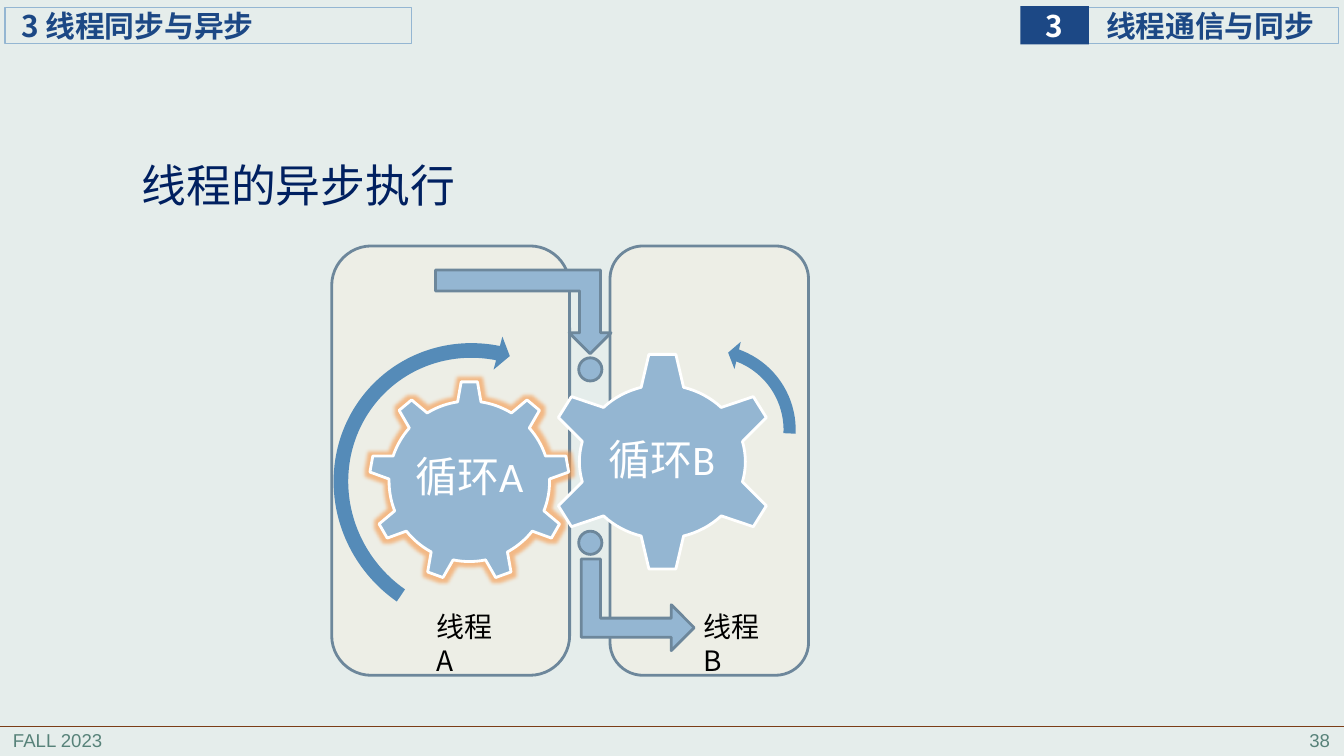
import pptx
import pptx.util
import pptx.dml.color
import pptx.enum.shapes
import pptx.enum.text
import pptx.oxml
from dataclasses import dataclass

Inches = pptx.util.Inches
Pt = pptx.util.Pt
Shape = pptx.enum.shapes.MSO_SHAPE
Align = pptx.enum.text.PP_ALIGN
Anchor = pptx.enum.text.MSO_ANCHOR
DRAWING = 'xmlns:a="http://schemas.openxmlformats.org/drawingml/2006/main"'


@dataclass(frozen=True)
class Theme:
    background: str = "E5EDEB"
    panel: str = "EDEEE6"
    outline: str = "6D879B"
    blue: str = "94B6D2"
    arrow: str = "558BB8"
    navy: str = "1C4885"
    title: str = "002060"
    footer: str = "578279"
    rule: str = "7B3D17"
    glow: str = "F79646"
    white: str = "FFFFFF"
    black: str = "000000"
    chinese: str = "Noto Sans CJK SC"
    gear_font: str = "Calibri"
    footer_font: str = "Arial"
    title_size: float = 32
    gear_size: float = 30
    header_size: float = 21.3
    label_size: float = 20
    footer_size: float = 13.3


THEME = Theme()

FOOTERS = [("FALL 2023", 0.03, Align.LEFT), ("38", 10.51, Align.RIGHT)]
HEADERS = [
    ("线程通信与同步", (10.78, 0.07, 2.5, 0.36), 0.19),
    ("3 线程同步与异步", (0.05, 0.07, 4.03, 0.36), 0.16),
]
CHAPTER = ("3", (10.12, 0.06, 0.68, 0.38))
TITLE = ("线程的异步执行", (0.85, 1.48, 4.22, 0.77))
PANELS = [(6.05, 2.44, 1.97, 4.26), (3.29, 2.44, 2.36, 4.26)]
GEARS = [
    ("循环A", Shape.GEAR_9, (3.66, 3.78, 1.99, 1.99), (4.06, 4.24, 1.19, 1.02)),
    ("循环B", Shape.GEAR_6, (5.42, 3.49, 2.3, 2.18), (5.98, 4.04, 1.17, 1.08)),
]
TURNS = [
    (Shape.CIRCULAR_ARROW, (3.19, 3.33, 3.05, 2.97), 228.6,
     (0.049, 3.126, 30.669, 153.278, 0.057)),
    (Shape.LEFT_CIRCULAR_ARROW, (6.12, 3.34, 1.85, 1.85), 115.3,
     (0.065, 4.3, 104.891, 148.378, 0.075)),
]
EXIT_ARROW = (5.87, 5.44, 0.91, 1.12)
ENTRY_ARROW = (4.32, 2.68, 1.74, 0.83)
DOT_LEFT, DOT_SIZE, DOT_TOPS = 5.74, 0.23, (3.55, 5.27)
LABELS = [("线程B", 6.88), ("线程A", 4.23)]


def color(value):
    return pptx.dml.color.RGBColor.from_string(value)


def add_shape(page, kind, place, fill=None, line=None, width=2):
    shape = page.shapes.add_shape(kind, *map(Inches, place))
    shape.shadow.inherit = False
    if fill:
        shape.fill.solid()
        shape.fill.fore_color.rgb = color(fill)
    else:
        shape.fill.background()
    if line:
        shape.line.color.rgb = color(line)
        shape.line.width = Pt(width)
    else:
        shape.line.fill.background()
    return shape


def write(box, text, size, ink, font=THEME.chinese, align=Align.LEFT, bold=False,
          anchor=Anchor.MIDDLE, insets=(0, 0, 0, 0), wrap=True, spacing=None):
    frame = box.text_frame
    frame.word_wrap = wrap
    frame.vertical_anchor = anchor
    frame.margin_left, frame.margin_top, frame.margin_right, frame.margin_bottom = map(Inches, insets)
    para = frame.paragraphs[0]
    para.alignment = align
    if spacing:
        para.line_spacing = spacing
    span = para.add_run()
    span.text = text
    span.font.size = Pt(size)
    span.font.name = font
    span.font.bold = bold
    span.font.color.rgb = color(ink)
    span.font._element.append(
        pptx.oxml.parse_xml(f'<a:ea {DRAWING} typeface="{THEME.chinese}"/>'))


def add_text(page, place, *content, **style):
    write(page.shapes.add_textbox(*map(Inches, place)), *content, **style)


def add_frame(page):
    for text, left, align in FOOTERS:
        add_text(page, (left, 7.19, 2.78, 0.31), text, THEME.footer_size, THEME.footer,
                 font=THEME.footer_font, align=align, insets=(0.1, 0.05, 0.1, 0.05))
    for text, place, inset in HEADERS:
        box = add_shape(page, Shape.RECTANGLE, place, line=THEME.blue, width=0.75)
        write(box, text, THEME.header_size, THEME.navy, bold=True, insets=(inset, 0, 0, 0))
    text, place = CHAPTER
    box = add_shape(page, Shape.RECTANGLE, place, THEME.navy)
    write(box, text, THEME.header_size, THEME.white, align=Align.CENTER, bold=True, wrap=False)
    rule = page.shapes.add_connector(
        pptx.enum.shapes.MSO_CONNECTOR.STRAIGHT,
        Inches(0), Inches(7.21), Inches(13.33), Inches(7.21))
    rule.line.color.rgb = color(THEME.rule)
    rule.line.width = Pt(0.5)
    rule._element.spPr.append(pptx.oxml.parse_xml(f"<a:effectLst {DRAWING}/>"))


def add_gears(page):
    gears = []
    for text, kind, place, text_place in GEARS:
        gears.append(add_shape(page, kind, place, THEME.blue, THEME.white))
        add_text(page, text_place, text, THEME.gear_size, THEME.white, font=THEME.gear_font,
                 align=Align.CENTER, insets=(0.04,) * 4, spacing=0.9)
    effects = gears[0]._element.spPr.find(pptx.oxml.ns.qn("a:effectLst"))
    effects.append(pptx.oxml.parse_xml(
        f'<a:glow {DRAWING} rad="63500"><a:srgbClr val="{THEME.glow}">'
        '<a:alpha val="60000"/></a:srgbClr></a:glow>'))
    for kind, place, angle, adjustments in TURNS:
        turn = add_shape(page, kind, place, THEME.arrow)
        turn.rotation = angle
        for index, value in enumerate(adjustments):
            turn.adjustments[index] = value


def add_flow(page):
    exit_arrow = add_shape(page, Shape.BENT_UP_ARROW, EXIT_ARROW, THEME.blue, THEME.outline)
    exit_arrow.rotation = 90
    exit_arrow.adjustments[0] = 0.209
    entry_arrow = add_shape(page, Shape.BENT_UP_ARROW, ENTRY_ARROW, THEME.blue, THEME.outline)
    entry_arrow._element.spPr.xfrm.set("flipV", "1")
    for top in DOT_TOPS:
        add_shape(page, Shape.OVAL, (DOT_LEFT, top, DOT_SIZE, DOT_SIZE),
                  THEME.blue, THEME.outline)


def main():
    deck = pptx.Presentation()
    deck.slide_width, deck.slide_height = Inches(13.33), Inches(7.5)
    page = deck.slides.add_slide(deck.slide_layouts[6])
    page.background.fill.solid()
    page.background.fill.fore_color.rgb = color(THEME.background)
    add_frame(page)
    for place in PANELS:
        add_shape(page, Shape.ROUNDED_RECTANGLE, place, THEME.panel, THEME.outline)
    text, place = TITLE
    add_text(page, place, text, THEME.title_size, THEME.title, align=Align.CENTER,
             insets=(0.08, 0.04, 0.08, 0.04), spacing=0.9)
    add_gears(page)
    add_flow(page)
    for text, left in LABELS:
        add_text(page, (left, 6, 0.9, 0.44), text, THEME.label_size, THEME.black,
                 anchor=Anchor.TOP, insets=(0.1, 0.05, 0.1, 0.05))
    deck.save("out.pptx")


if __name__ == "__main__":
    main()
